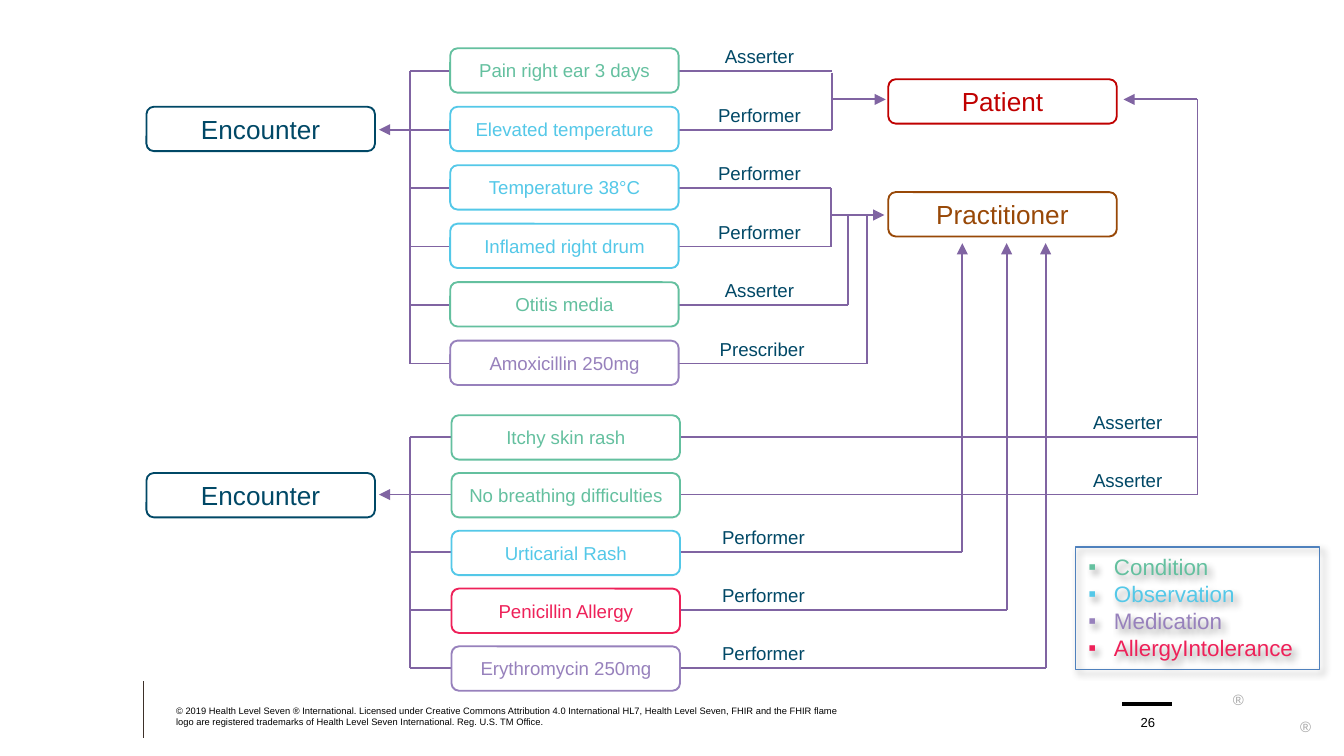
from pptx import Presentation
from pptx.dml.color import RGBColor
from pptx.enum.shapes import MSO_CONNECTOR, MSO_SHAPE
from pptx.enum.text import MSO_ANCHOR, PP_ALIGN
from pptx.oxml import parse_xml
from pptx.oxml.ns import nsdecls
from pptx.util import Inches, Pt

COLORS = {
    "text": "004866", "wire": "8064A2", "patient": "C00000", "practitioner": "984807",
    "condition": "64C09F", "observation": "54C8E8", "medication": "9781BC",
    "allergy": "EE2159", "frame": "4F81BD", "rule": "3D3029", "mark": "A6A6A6",
    "black": "000000", "white": "FFFFFF",
}
NODE_W, NODE_H = 1.7, 0.33
LABEL_W, LABEL_H = 0.82, 0.2

FIRST_VISIT = [
    ("Pain right ear 3 days", "condition", "Asserter", 5.1, 4.15),
    ("Elevated temperature", "observation", "Performer", 5.1, 4.15),
    ("Temperature 38°C", "observation", "Performer", 5.09, 4.15),
    ("Inflamed right drum", "observation", "Performer", 5.09, 4.15),
    ("Otitis media", "condition", "Asserter", 5.22, 4.15),
    ("Amoxicillin 250mg", "medication", "Prescriber", 5.36, 4.17),
]
SECOND_VISIT = [
    ("Itchy skin rash", "condition", "Asserter", 7.82, 6.89),
    ("No breathing difficulties", "condition", "Asserter", 7.82, 6.89),
    ("Urticarial Rash", "observation", "Performer", 6.07, 4.18),
    ("Penicillin Allergy", "allergy", "Performer", 6.4, 4.18),
    ("Erythromycin 250mg", "medication", "Performer", 6.69, 4.18),
]
LEGEND = [
    ("Condition", "condition"), ("Observation", "observation"),
    ("Medication", "medication"), ("AllergyIntolerance", "allergy"),
]
COPYRIGHT = (
    "© 2019 Health Level Seven ® International. Licensed under Creative Commons "
    "Attribution 4.0 International HL7, Health Level Seven, FHIR and the FHIR flame "
    "logo are registered trademarks of Health Level Seven International. "
    "Reg. U.S. TM Office."
)


def rgb(name):
    return RGBColor.from_string(COLORS[name])


def style_paragraph(p, size, color, align):
    p.alignment = align
    for r in p.runs:
        r.font.name = "Arial"
        r.font.size = Pt(size)
        r.font.color.rgb = rgb(color)


def add_text(s, x, y, w, h, text, size, color, align=PP_ALIGN.CENTER,
             anchor=MSO_ANCHOR.MIDDLE, wrap=True):
    sp = s.shapes.add_textbox(Inches(x), Inches(y), Inches(w), Inches(h))
    tf = sp.text_frame
    tf.word_wrap = wrap
    tf.vertical_anchor = anchor
    tf.margin_left = tf.margin_right = tf.margin_top = tf.margin_bottom = 0
    tf.text = text
    style_paragraph(tf.paragraphs[0], size, color, align)


def add_line(s, x1, y1, x2, y2, color="wire", width=1, arrow=False):
    c = s.shapes.add_connector(MSO_CONNECTOR.STRAIGHT, Inches(x1), Inches(y1),
                               Inches(x2), Inches(y2))
    c.line.color.rgb = rgb(color)
    c.line.width = Pt(width)
    if arrow:
        c.line._get_or_add_ln().append(
            parse_xml(f'<a:tailEnd {nsdecls("a")} type="triangle"/>'))
    c._element.spPr.append(parse_xml(f'<a:effectLst {nsdecls("a")}/>'))


def add_node(s, x, y, text, color, size):
    sp = s.shapes.add_shape(MSO_SHAPE.ROUNDED_RECTANGLE, Inches(x), Inches(y),
                            Inches(NODE_W), Inches(NODE_H))
    sp.shadow.inherit = False
    sp.fill.solid()
    sp.fill.fore_color.rgb = rgb("white")
    sp.line.color.rgb = rgb(color)
    sp.line.width = Pt(1)
    tf = sp.text_frame
    tf.word_wrap = True
    tf.vertical_anchor = MSO_ANCHOR.MIDDLE
    tf.text = text
    style_paragraph(tf.paragraphs[0], size, color, PP_ALIGN.CENTER)


def add_visit(s, box, rows, pitch, node_x, wire_y, encounter_row=1):
    x, y = box
    spine = x + 1.96
    tops = [y + i * pitch for i in range(len(rows))]
    wires = [top + wire_y for top in tops]
    add_line(s, spine, wires[0], spine, wires[-1])
    for i, (text, kind, role, reach, label_x) in enumerate(rows):
        leads = i == encounter_row
        add_line(s, x + reach, wires[i], x + 1.73 if leads else spine, wires[i],
                 arrow=leads)
        add_node(s, x + node_x, tops[i], text, kind, 10)
        add_text(s, x + label_x, wires[i] - 0.21, LABEL_W, LABEL_H, role, 10, "text")
    add_node(s, x, tops[encounter_row], "Encounter", "text", 14)


def add_actors(s, box):
    x, y = box
    add_node(s, x, y, "Patient", "patient", 14)
    add_node(s, x, y + 0.84, "Practitioner", "practitioner", 14)
    patient_y, practitioner_y = y + 0.15, y + 1.01
    add_line(s, x - 0.42, y - 0.05, x - 0.42, y + 0.38)
    add_line(s, x - 0.42, patient_y, x - 0.02, patient_y, arrow=True)
    add_line(s, x - 0.43, y + 0.81, x - 0.43, y + 1.25)
    add_line(s, x - 0.3, practitioner_y, x - 0.3, y + 1.68)
    add_line(s, x - 0.16, practitioner_y, x - 0.16, y + 2.12)
    add_line(s, x - 0.43, practitioner_y, x - 0.03, practitioner_y, arrow=True)
    add_line(s, x + 2.3, patient_y, x + 2.3, y + 3.09)
    add_line(s, x + 2.3, patient_y, x + 1.75, patient_y, arrow=True)
    for dx, bottom in [(0.55, 3.52), (0.88, 3.95), (1.17, 4.38)]:
        add_line(s, x + dx, y + bottom, x + dx, y + 1.22, arrow=True)


def add_legend(s, box):
    sp = s.shapes.add_shape(MSO_SHAPE.RECTANGLE, *map(Inches, box))
    sp.fill.background()
    sp.line.color.rgb = rgb("frame")
    sp.line.width = Pt(0.75)
    sp._element.spPr.append(parse_xml(
        f'<a:effectLst {nsdecls("a")}><a:outerShdw blurRad="{Pt(4)}" dist="{Pt(3)}" '
        f'dir="2700000"><a:srgbClr val="{COLORS["black"]}"><a:alpha val="40000"/>'
        '</a:srgbClr></a:outerShdw></a:effectLst>'))
    tf = sp.text_frame
    tf.word_wrap = True
    tf.vertical_anchor = MSO_ANCHOR.TOP
    tf.text = "\n".join(text for text, _ in LEGEND)
    for p, (_, kind) in zip(tf.paragraphs, LEGEND):
        pPr = p._p.get_or_add_pPr()
        pPr.set("marL", str(Inches(0.19)))
        pPr.set("indent", str(-Inches(0.19)))
        pPr.append(parse_xml(f'<a:buFont {nsdecls("a")} typeface="Arial"/>'))
        pPr.append(parse_xml(f'<a:buChar {nsdecls("a")} char="▪"/>'))
        style_paragraph(p, 12, kind, PP_ALIGN.LEFT)


def add_footer(s, box):
    x, y = box
    add_line(s, x, y, x, y + 0.42, "rule", 0.5)
    add_text(s, x + 0.24, y + 0.17, 4.95, 0.17, COPYRIGHT, 5, "black",
             PP_ALIGN.LEFT, MSO_ANCHOR.BOTTOM)
    add_line(s, x + 7.28, y + 0.17, x + 7.65, y + 0.17, "black", 2)
    add_text(s, x + 7.32, y + 0.17, 0.3, 0.19, "26", 7, "black",
             anchor=MSO_ANCHOR.BOTTOM)
    for dx, dy in [(8.09, 0.08), (8.59, 0.28)]:
        add_text(s, x + dx, y + dy, 0.11, 0.11, "®", 8, "mark", wrap=False)


def main():
    prs = Presentation()
    prs.slide_width = Inches(10)
    prs.slide_height = prs.slide_width * 9 // 16
    s = prs.slides.add_slide(prs.slide_layouts[6])
    add_actors(s, (6.61, 0.59))
    add_visit(s, (1.09, 0.36), FIRST_VISIT, 0.435, 2.26, 0.17)
    add_visit(s, (1.09, 3.09), SECOND_VISIT, 0.43, 2.27, 0.16)
    add_legend(s, (8, 4.07, 1.82, 0.91))
    add_footer(s, (1.07, 5.07))
    prs.save("out.pptx")


if __name__ == "__main__":
    main()
